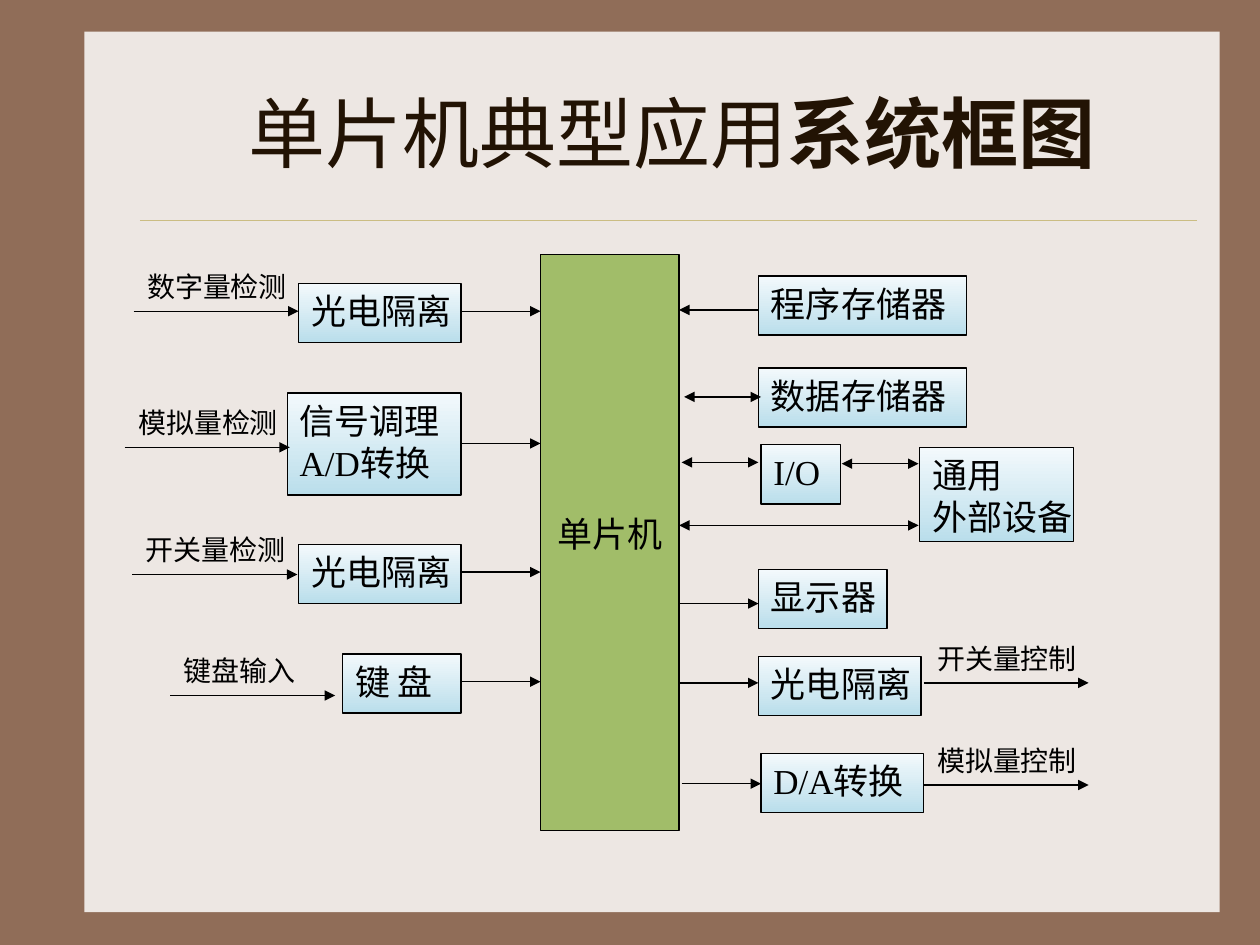
from lxml.etree import SubElement
from pptx import Presentation
from pptx.dml.color import RGBColor
from pptx.enum.shapes import MSO_CONNECTOR, MSO_SHAPE
from pptx.enum.text import MSO_ANCHOR, PP_ALIGN
from pptx.oxml.ns import qn
from pptx.util import Inches, Pt

COLORS = {
    "frame": "906D58", "panel": "EDE7E3", "rule": "CBBD83", "title": "221304",
    "ink": "000000", "processor": "A1BD69", "top": "F3F9FC", "bottom": "BADEEB",
}
FONT = "Times New Roman"

# Content: title runs as (text, bold)
TITLE = [("单片机典型应用", False), ("系统框图", True)]

PROCESSOR = (4.29, 2.02, 1.10, 4.57)
PROCESSOR_LEFT = PROCESSOR[0]
PROCESSOR_RIGHT = PROCESSOR[0] + PROCESSOR[2]
INPUT_RIGHT = 3.66
ROW_HEIGHT = 0.47
SIGNAL_LENGTH = 1.31

# Input modules: top, width, height, lines, arrow y
INPUTS = [
    (2.25, 1.29, ROW_HEIGHT, ["光电隔离"], 2.47),
    (3.12, 1.38, 0.81, ["信号调理", "A/D转换"], 3.52),
    (4.32, 1.29, ROW_HEIGHT, ["光电隔离"], 4.54),
    (5.19, 0.94, ROW_HEIGHT, ["键 盘"], 5.41),
]

# Peripherals: left, top, width, height, lines
PERIPHERALS = [
    (6.02, 2.19, 1.65, ROW_HEIGHT, ["程序存储器"]),
    (6.02, 2.92, 1.65, ROW_HEIGHT, ["数据存储器"]),
    (6.04, 3.53, 0.63, ROW_HEIGHT, ["I/O"]),
    (7.30, 3.55, 1.22, 0.75, ["通用", "外部设备"]),
    (6.02, 4.52, 1.02, ROW_HEIGHT, ["显示器"]),
    (6.02, 5.21, 1.29, ROW_HEIGHT, ["光电隔离"]),
    (6.04, 5.98, 1.29, ROW_HEIGHT, ["D/A转换"]),
]

# Labelled signals: start x, y, label
SIGNALS = [
    (1.06, 2.47, "数字量检测"),
    (0.99, 3.55, "模拟量检测"),
    (1.05, 4.56, "开关量检测"),
    (1.35, 5.52, "键盘输入"),
    (7.33, 5.42, "开关量控制"),
    (7.33, 6.23, "模拟量控制"),
]

# Peripheral links: start x, end x, y, both ways
LINKS = [
    (6.02, PROCESSOR_RIGHT, 2.46, False),
    (5.43, 6.04, 3.15, True),
    (5.41, 6.02, 3.67, True),
    (6.68, 7.29, 3.68, True),
    (PROCESSOR_RIGHT, 7.29, 4.17, True),
    (PROCESSOR_RIGHT, 6.02, 4.79, False),
    (PROCESSOR_RIGHT, 6.02, 5.42, False),
    (5.41, 6.04, 6.22, False),
]


def color(name):
    return RGBColor.from_string(COLORS[name])


def set_attributes(target, values):
    for name, value in values.items():
        setattr(target, name, value)


def write_text(shape, lines, size, ink="ink", align=PP_ALIGN.LEFT, **frame_format):
    """Each line is a list of (text, bold) runs."""
    frame = shape.text_frame
    set_attributes(frame, {
        "word_wrap": False, "vertical_anchor": MSO_ANCHOR.TOP,
        "margin_left": Inches(0.1), "margin_right": Inches(0.1),
        "margin_top": Inches(0.05), "margin_bottom": Inches(0.05), **frame_format,
    })
    for index, runs in enumerate(lines):
        paragraph = frame.paragraphs[0] if index == 0 else frame.add_paragraph()
        paragraph.alignment = align
        for text, bold in runs:
            run = paragraph.add_run()
            run.text = text
            set_attributes(run.font, {"name": FONT, "size": Pt(size), "bold": bold})
            run.font.color.rgb = color(ink)


def add_rectangle(slide, bounds, fill=None, outlined=True):
    shape = slide.shapes.add_shape(MSO_SHAPE.RECTANGLE, *map(Inches, bounds))
    shape.shadow.inherit = False
    if fill:
        shape.fill.solid()
        shape.fill.fore_color.rgb = color(fill)
    else:
        shape.fill.gradient()
        shape.fill.gradient_angle = 270
        for stop, name, position in zip(shape.fill.gradient_stops, ("top", "bottom"), (0, 1)):
            stop.color.rgb = color(name)
            stop.position = position
    if outlined:
        shape.line.color.rgb = color("ink")
        shape.line.width = Pt(0.75)
    else:
        shape.line.fill.background()
    return shape


def add_module(slide, bounds, lines):
    write_text(add_rectangle(slide, bounds), [[(line, False)] for line in lines], 20)


def add_line(slide, start, end, y, ends=(), ink="ink", width=0.75):
    line = slide.shapes.add_connector(
        MSO_CONNECTOR.STRAIGHT, Inches(start), Inches(y), Inches(end), Inches(y))
    line.line.color.rgb = color(ink)
    line.line.width = Pt(width)
    outline = line.line._get_or_add_ln()
    for end_name in ends:
        SubElement(outline, qn(f"a:{end_name}"), type="triangle")
    SubElement(line._element.spPr, qn("a:effectLst"))


def add_text_box(slide, bounds, lines, size, **text_format):
    box = slide.shapes.add_textbox(*map(Inches, bounds))
    write_text(box, lines, size, **text_format)


def main():
    presentation = Presentation()
    presentation.slide_width = Inches(10)
    presentation.slide_height = Inches(7.5)
    slide = presentation.slides.add_slide(presentation.slide_layouts[6])

    # Framed panel and title
    slide.background.fill.solid()
    slide.background.fill.fore_color.rgb = color("frame")
    add_rectangle(slide, (0.67, 0.25, 9.01, 6.99), "panel", outlined=False)
    add_line(slide, 1.11, 9.5, 1.75, ink="rule", width=0.25)
    add_text_box(slide, (1.17, 0.42, 8.33, 1.25), [TITLE], 44, ink="title",
                 align=PP_ALIGN.CENTER, word_wrap=True, vertical_anchor=MSO_ANCHOR.MIDDLE)

    # Processor, with its name slightly above the middle
    processor = add_rectangle(slide, PROCESSOR, "processor")
    write_text(processor, [[("单片机", False)]], 20, align=PP_ALIGN.CENTER,
               vertical_anchor=MSO_ANCHOR.MIDDLE, margin_bottom=Inches(0.19))

    # Modules on both sides
    for *bounds, lines in PERIPHERALS:
        add_module(slide, bounds, lines)
    for top, width, height, lines, arrow_y in INPUTS:
        add_module(slide, (INPUT_RIGHT - width, top, width, height), lines)
        add_line(slide, INPUT_RIGHT, PROCESSOR_LEFT, arrow_y, ["tailEnd"])

    # Signals with a label as wide as the arrow below it
    for start, y, label in SIGNALS:
        add_line(slide, start, start + SIGNAL_LENGTH, y, ["tailEnd"])
        add_text_box(slide, (start + 0.01, y - 0.38, SIGNAL_LENGTH, 0.37),
                     [[(label, False)]], 16)

    # Links between processor and peripherals
    for start, end, y, both_ways in LINKS:
        add_line(slide, start, end, y, ["headEnd", "tailEnd"] if both_ways else ["tailEnd"])

    presentation.save("out.pptx")


if __name__ == "__main__":
    main()
